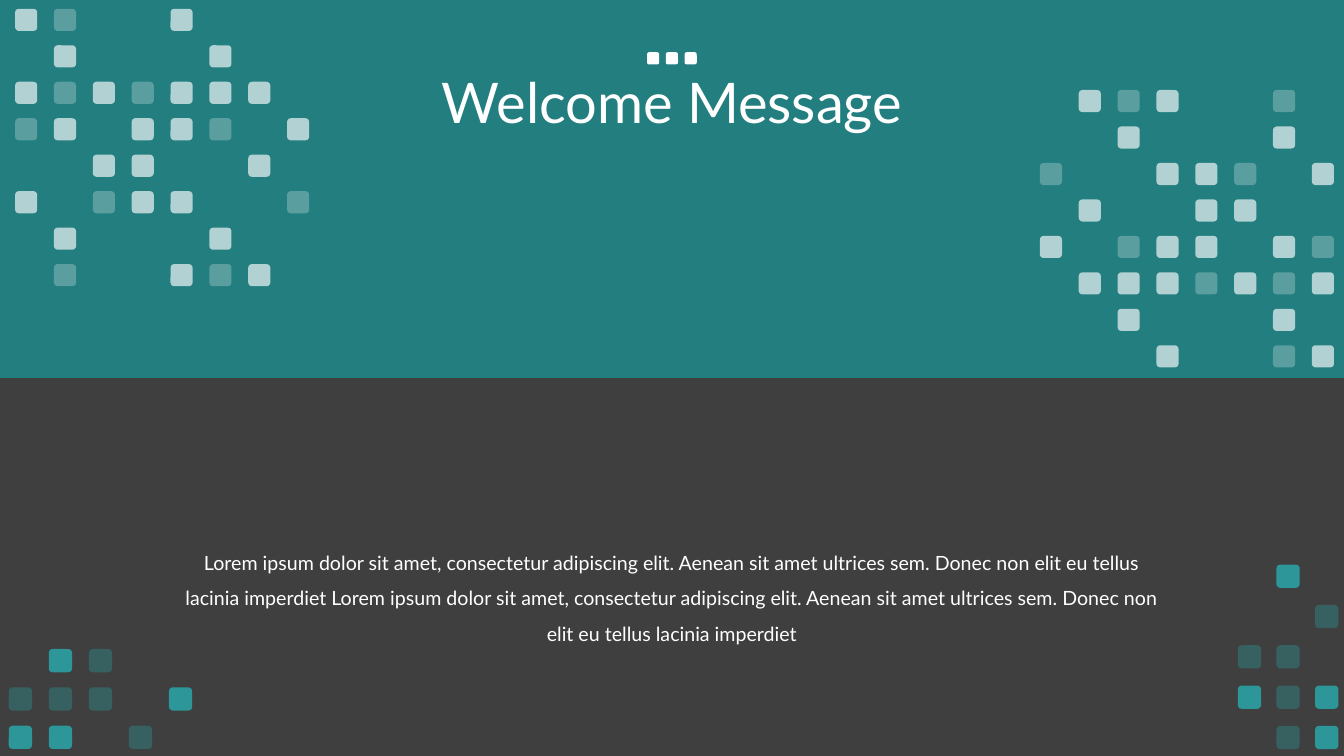
from dataclasses import dataclass

from lxml.etree import SubElement
from pptx import Presentation
from pptx.dml.color import RGBColor
from pptx.enum.shapes import MSO_SHAPE as Shape
from pptx.enum.text import MSO_ANCHOR as Anchor, MSO_AUTO_SIZE as AutoSize, PP_ALIGN as Align
from pptx.oxml.ns import qn
from pptx.util import Pt


@dataclass(frozen=True)
class Theme:
    font: str = "Lato"
    background: str = "3F3F3F"
    band: str = "1A9497"
    accent: str = "23C5CA"
    white: str = "FFFFFF"
    title_size: float = 40
    body_size: float = 14
    band_opacity: int = 75
    bright: int = 65
    faint: int = 25


@dataclass(frozen=True)
class Mosaic:
    """Squares on a grid: '#' is bright, '+' is faint, '.' is empty."""
    left: float
    top: float
    column_step: float
    row_step: float
    side: float
    color: str
    rows: tuple[str, ...]
    bright: int = 100


THEME = Theme()
WIDTH, HEIGHT = 960, 540
MESSAGE = (
    "Lorem ipsum dolor sit amet, consectetur adipiscing elit. Aenean sit amet "
    "ultrices sem. Donec non elit eu tellus lacinia imperdiet Lorem ipsum dolor "
    "sit amet, consectetur adipiscing elit. Aenean sit amet ultrices sem. Donec "
    "non elit eu tellus lacinia imperdiet"
)
MOSAICS = (
    Mosaic(462.2, 37.3, 13.4, 13.4, 8.7, THEME.white, ("###",)),
    Mosaic(10.8, 6.3, 27.75, 26.05, 15.8, THEME.white, (
        "#+..#...",
        ".#...#..",
        "#+#+###.",
        "+#.##+.#",
        "..##..#.",
        "#.+##..+",
        ".#...#..",
        ".+..#+#.",
    ), THEME.bright),
    Mosaic(742.8, 64.3, 27.75, 26.05, 15.8, THEME.white, (
        ".#+#..+.",
        "..#...#.",
        "+..##+.#",
        ".#..##..",
        "#.+##.#+",
        ".###+#+#",
        "..#...#.",
        "...#..+#",
    ), THEME.bright),
    Mosaic(6.3, 463.6, 28.6, 27.4, 16.6, THEME.accent, (
        ".#+..",
        "+++.#",
        "##.+.",
    ), THEME.bright),
    Mosaic(884.2, 403.3, 27.6, 28.8, 16.6, THEME.accent, (
        ".#.",
        "..+",
        "++.",
        "#+#",
        ".+#",
    ), THEME.bright),
)


def add_block(shapes, kind: Shape, left: float, top: float, width: float, height: float,
              color: str, opacity: int):
    block = shapes.add_shape(kind, Pt(left), Pt(top), Pt(width), Pt(height))
    block.shadow.inherit = False
    block.line.fill.background()
    block.fill.solid()
    block.fill.fore_color.rgb = RGBColor.from_string(color)
    if opacity < 100:
        tone = block.element.spPr.find(qn("a:solidFill"))[0]
        SubElement(tone, qn("a:alpha"), val=str(opacity * 1000))
    return block


def add_mosaic(page, mosaic: Mosaic) -> None:
    group = page.shapes.add_group_shape()
    opacities = {"#": mosaic.bright, "+": THEME.faint}
    for row, marks in enumerate(mosaic.rows):
        for column, mark in enumerate(marks):
            if mark in opacities:
                add_block(group.shapes, Shape.ROUNDED_RECTANGLE,
                          mosaic.left + column * mosaic.column_step,
                          mosaic.top + row * mosaic.row_step,
                          mosaic.side, mosaic.side, mosaic.color, opacities[mark])


def place(box, left: float, top: float, width: float, height: float) -> None:
    box.left, box.top, box.width, box.height = map(Pt, (left, top, width, height))


def write(box, text: str, *, size: float, spacing: float, anchor: Anchor,
          fit: AutoSize) -> None:
    frame = box.text_frame
    frame.word_wrap = True
    frame.auto_size = fit
    frame.vertical_anchor = anchor
    para = frame.paragraphs[0]
    para.alignment = Align.CENTER
    para.line_spacing = spacing
    para.space_before = Pt(0)
    span = para.add_run()
    span.text = text
    span.font.name = THEME.font
    span.font.size = Pt(size)
    span.font.color.rgb = RGBColor.from_string(THEME.white)


def main() -> None:
    deck = Presentation()
    deck.slide_width, deck.slide_height = Pt(WIDTH), Pt(HEIGHT)
    page = deck.slides.add_slide(deck.slide_layouts[5])
    page.background.fill.solid()
    page.background.fill.fore_color.rgb = RGBColor.from_string(THEME.background)

    title = page.shapes.title
    band = add_block(page.shapes, Shape.RECTANGLE, 0, 0, WIDTH, HEIGHT / 2,
                     THEME.band, THEME.band_opacity)
    title.element.addprevious(band.element)
    place(title, 66, 23, 828, 104.4)
    write(title, "Welcome Message", size=THEME.title_size, spacing=0.9,
          anchor=Anchor.MIDDLE, fit=AutoSize.NONE)

    body = page.shapes.add_textbox(Pt(125), Pt(381.6), Pt(710), Pt(80))
    write(body, MESSAGE, size=THEME.body_size, spacing=1.5,
          anchor=Anchor.TOP, fit=AutoSize.SHAPE_TO_FIT_TEXT)

    for mosaic in MOSAICS:
        add_mosaic(page, mosaic)
    deck.save("out.pptx")


if __name__ == "__main__":
    main()
